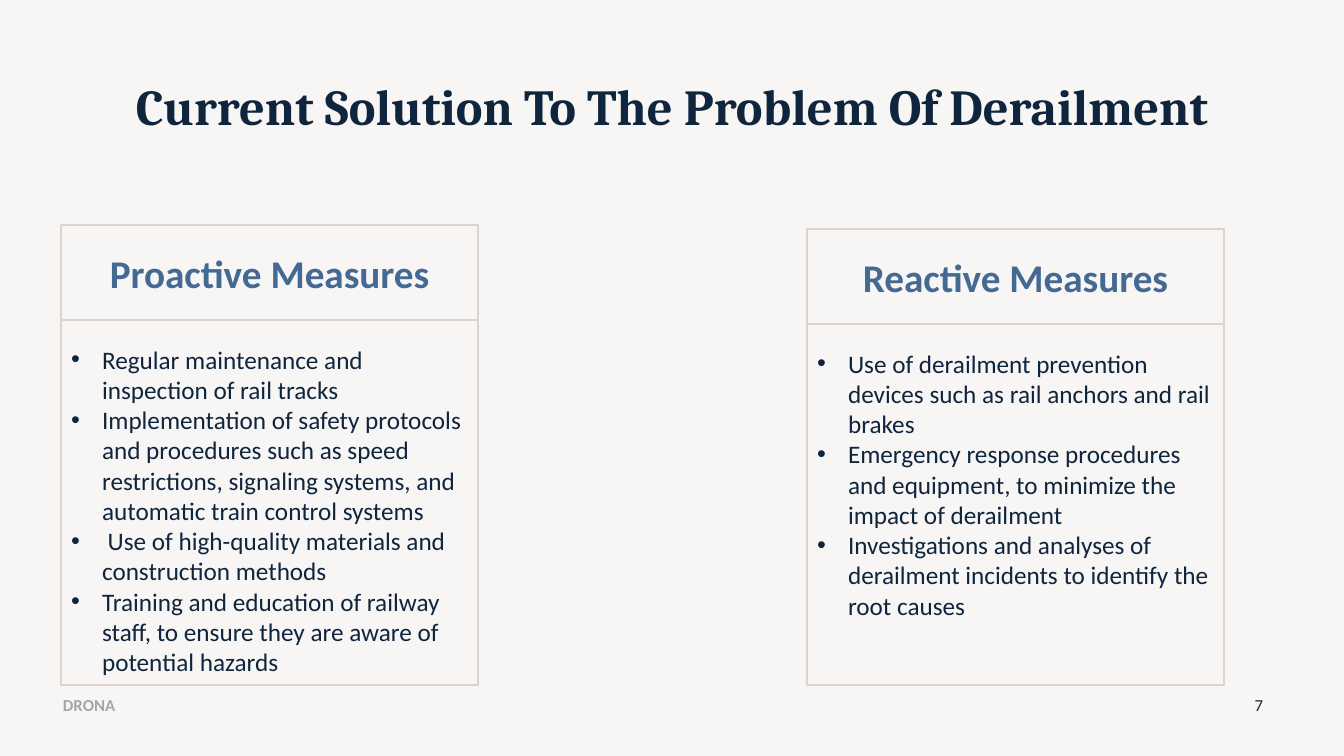
from dataclasses import dataclass

from lxml import etree
from pptx import Presentation
from pptx import util as u
from pptx.dml.color import RGBColor
from pptx.enum import text
from pptx.oxml.ns import qn

EMU_PER_PX = 914400 / 100.8
NAVY, BLUE, GREY = "0F253E", "446992", "A6A6A6"
BORDER, PAPER = "DCD3CC", "F8F6F5"
LEFT, CENTER = text.PP_ALIGN.LEFT, text.PP_ALIGN.CENTER
TOP, MIDDLE = text.MSO_ANCHOR.TOP, text.MSO_ANCHOR.MIDDLE
COLUMN_WIDTH, HEADING_HEIGHT, COLUMN_BOTTOM = 417, 95, 685
FOOTER_TOP, FOOTER_HEIGHT = 685, 40
BULLET_INDENT = 31


@dataclass
class Style:
    size: int
    color: str
    font: str = "Calibri"
    bold: bool = False
    align: text.PP_ALIGN = CENTER
    anchor: text.MSO_ANCHOR = MIDDLE
    space_before: int = 0
    line_spacing: float = 1.0


@dataclass
class Column:
    left: int
    top: int
    heading_index: int
    list_index: int
    heading: str
    items: list[str]


@dataclass
class Footer:
    left: int
    width: int
    wording: str
    style: Style


TITLE = Style(36, NAVY, font="Cambria", bold=True, line_spacing=0.9)
HEADING = Style(28, BLUE, bold=True, space_before=10)
LIST = Style(18, NAVY, align=LEFT, anchor=TOP)

COLUMNS = [
    Column(61, 225, 1, 2, "Proactive Measures", [
        "Regular maintenance and inspection of rail tracks",
        "Implementation of safety protocols and procedures such as speed "
        "restrictions, signaling systems, and automatic train control systems",
        " Use of high-quality materials and construction methods",
        "Training and education of railway staff, to ensure they are aware of "
        "potential hazards",
    ]),
    Column(807, 229, 3, 4, "Reactive Measures", [
        "Use of derailment prevention devices such as rail anchors and rail brakes",
        "Emergency response procedures and equipment, to minimize the impact of "
        "derailment",
        "Investigations and analyses of derailment incidents to identify the "
        "root causes",
    ]),
]

FOOTERS = [
    Footer(53, 454, "DRONA", Style(12, GREY, bold=True, align=LEFT)),
    Footer(1234, 50, "7", Style(12, NAVY)),
]


def px(length: int) -> u.Emu:
    return u.Emu(round(length * EMU_PER_PX))


def rgb(color: str) -> RGBColor:
    return RGBColor.from_string(color)


def place(box, left: int, top: int, width: int, height: int) -> None:
    box.left, box.top, box.width, box.height = map(px, (left, top, width, height))


def write(box, wording: str, style: Style) -> None:
    """Fill a box with one paragraph per line and format it."""
    frame = box.text_frame
    frame.text = wording
    frame.word_wrap = True
    frame.auto_size = text.MSO_AUTO_SIZE.NONE
    frame.vertical_anchor = style.anchor
    for para in frame.paragraphs:
        para.alignment = style.align
        para.line_spacing = style.line_spacing
        para.space_before = u.Pt(style.space_before)
        for span in para.runs:
            span.font.name = style.font
            span.font.size = u.Pt(style.size)
            span.font.bold = style.bold
            span.font.color.rgb = rgb(style.color)


def outline(box) -> None:
    box.line.color.rgb = rgb(BORDER)
    box.line.width = u.Pt(1.5)


def add_bullet(para) -> None:
    properties = para._p.get_or_add_pPr()
    properties.set("marL", str(px(BULLET_INDENT)))
    properties.set("indent", str(-px(BULLET_INDENT)))
    etree.SubElement(properties, qn("a:buFont")).set("typeface", "Arial")
    etree.SubElement(properties, qn("a:buChar")).set("char", "•")


def draw_column(page, column: Column) -> None:
    holders = {holder.placeholder_format.idx: holder for holder in page.placeholders}

    heading = holders[column.heading_index]
    place(heading, column.left, column.top, COLUMN_WIDTH, HEADING_HEIGHT)
    write(heading, column.heading, HEADING)
    outline(heading)

    body = holders[column.list_index]
    body_top = column.top + HEADING_HEIGHT
    place(body, column.left, body_top, COLUMN_WIDTH, COLUMN_BOTTOM - body_top)
    write(body, "\n".join(column.items), LIST)
    body.text_frame.margin_top = px(24)
    outline(body)
    for para in body.text_frame.paragraphs:
        add_bullet(para)


def draw_footer(page, footer: Footer) -> None:
    box = page.shapes.add_textbox(0, 0, 0, 0)
    place(box, footer.left, FOOTER_TOP, footer.width, FOOTER_HEIGHT)
    write(box, footer.wording, footer.style)


def main() -> None:
    deck = Presentation()
    deck.slide_width, deck.slide_height = px(1344), px(756)
    page = deck.slides.add_slide(deck.slide_layouts.get_by_name("Comparison"))
    page.background.fill.solid()
    page.background.fill.fore_color.rgb = rgb(PAPER)

    # Title
    title = page.shapes.title
    place(title, 9, 36, 1326, 146)
    write(title, "Current Solution To The Problem Of Derailment", TITLE)

    # Measures
    for column in COLUMNS:
        draw_column(page, column)

    # Footer line
    for footer in FOOTERS:
        draw_footer(page, footer)

    deck.save("out.pptx")


if __name__ == "__main__":
    main()
